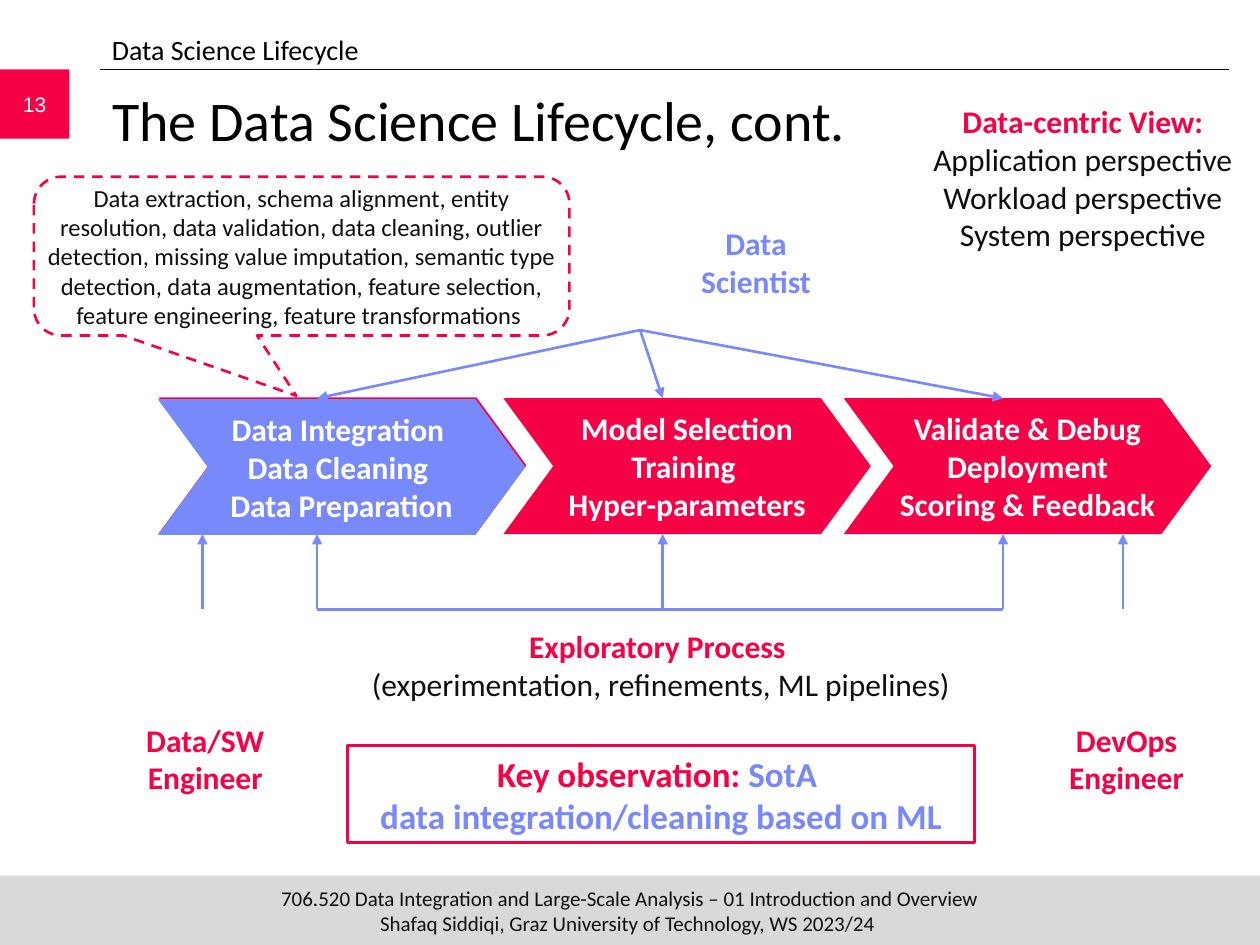
from dataclasses import dataclass

from lxml import etree
from pptx import Presentation
from pptx.dml.color import RGBColor
from pptx.enum.dml import MSO_LINE
from pptx.enum.shapes import MSO_CONNECTOR, MSO_SHAPE
from pptx.enum.text import MSO_ANCHOR, MSO_AUTO_SIZE, PP_ALIGN
from pptx.oxml.ns import qn
from pptx.util import Pt

RECT = MSO_SHAPE.RECTANGLE
CHEVRON = MSO_SHAPE.CHEVRON
CALLOUT = MSO_SHAPE.ROUNDED_RECTANGULAR_CALLOUT
STRAIGHT = MSO_CONNECTOR.STRAIGHT
DASH = MSO_LINE.DASH
TOP, MIDDLE = MSO_ANCHOR.TOP, MSO_ANCHOR.MIDDLE
LEFT, CENTER = PP_ALIGN.LEFT, PP_ALIGN.CENTER
FIXED = MSO_AUTO_SIZE.NONE


@dataclass(frozen=True)
class Theme:
    red: str = "F70146"
    blue: str = "7889FB"
    ink: str = "0F0F0F"
    black: str = "000000"
    white: str = "FFFFFF"
    gray: str = "D9D9D9"
    font: str = "Calibri"
    digits: str = "Arial"
    title: int = 32
    key: int = 20
    body: int = 18
    topic: int = 16
    note: int = 14
    small: int = 12
    rule: float = 0.5
    line: float = 1.5


theme = Theme()


def color(code):
    return RGBColor.from_string(code)


def write(frame, paras, size, font=theme.font, align=CENTER, anchor=TOP, pad=(7.2, 3.6)):
    frame.word_wrap = True
    frame.auto_size = FIXED
    frame.vertical_anchor = anchor
    frame.margin_left = frame.margin_right = Pt(pad[0])
    frame.margin_top = frame.margin_bottom = Pt(pad[1])
    for i, pieces in enumerate(paras):
        para = frame.add_paragraph() if i else frame.paragraphs[0]
        para.alignment = align
        for text, shade, bold in pieces:
            for j, part in enumerate(text.split("\v")):
                if j:
                    para.add_line_break()
                if part:
                    run = para.add_run()
                    run.text = part
                    run.font.name = font
                    run.font.size = Pt(size)
                    run.font.bold = bold
                    run.font.color.rgb = color(shade)


def label(slide, box, paras, size, **style):
    text = slide.shapes.add_textbox(*map(Pt, box))
    write(text.text_frame, paras, size, **style)


def shape(slide, kind, box, fill=None, edge=None):
    item = slide.shapes.add_shape(kind, *map(Pt, box))
    item.shadow.inherit = False
    if fill:
        item.fill.solid()
        item.fill.fore_color.rgb = color(fill)
    else:
        item.fill.background()
    if edge:
        item.line.color.rgb = color(edge)
        item.line.width = Pt(theme.line)
    else:
        item.line.fill.background()
    return item


def link(slide, start, end, shade=theme.blue, width=theme.line, arrow=True):
    line = slide.shapes.add_connector(STRAIGHT, *map(Pt, start + end))
    line.line.color.rgb = color(shade)
    line.line.width = Pt(width)
    if arrow:
        tail = etree.SubElement(line.line._get_or_add_ln(), qn("a:tailEnd"))
        tail.set("type", "triangle")
    etree.SubElement(line._element.spPr, qn("a:effectLst"))


def header(slide, box):
    left, top, width, height = box
    mark = 39.6
    link(slide, (left, mark), (702.5, mark), theme.ink, theme.rule, False)
    badge = shape(slide, RECT, (0, mark, mark, mark), theme.red)
    write(badge.text_frame, [[("13", theme.white, False)]], theme.small,
          font=theme.digits, anchor=MIDDLE)
    title = slide.shapes.title
    title.left, title.top = Pt(left), Pt(top + 30.2)
    title.width, title.height = Pt(width), Pt(height - 30.2)
    write(title.text_frame, [[("The Data Science Lifecycle, cont.", theme.black, False)]],
          theme.title, align=LEFT)
    label(slide, (left, top, width, 26), [[("Data Science Lifecycle", theme.black, False)]],
          theme.topic, align=LEFT)


def footer(slide, box):
    bar = shape(slide, RECT, box, theme.gray)
    lines = ["706.520 Data Integration and Large-Scale Analysis – 01 Introduction and Overview",
             "Shafaq Siddiqi, Graz University of Technology, WS 2023/24 "]
    write(bar.text_frame, [[(text, theme.ink, False)] for text in lines],
          theme.small, anchor=MIDDLE, pad=(0, 0))


def step(slide, box, fill, text=""):
    item = shape(slide, CHEVRON, box, fill)
    item.adjustments[0] = 0.367
    if text:
        write(item.text_frame, [[(text, theme.white, True)]], theme.body,
              anchor=MIDDLE, pad=(0, 3.6))


def flow(slide, box):
    left, top, width, height = box
    wide, drop = 210, 43
    base = top + height
    apex = (365.8, top - 39)
    lefts = [left, left + 197.5, left + width - wide]
    mids = [x + 91 for x in lefts]
    step(slide, (left + 0.6, top - 0.5, wide, height), theme.red)
    step(slide, (lefts[1], top, wide, height), theme.red,
         "Model Selection\vTraining \vHyper-parameters")
    step(slide, (lefts[2], top, wide, height), theme.red,
         "Validate & Debug\vDeployment\vScoring & Feedback")
    for x in mids:
        link(slide, apex, (x, top))
    for x in [left + 25.5, *mids, left + width - 50.5]:
        link(slide, (x, base + drop), (x, base))
    link(slide, (mids[2], base + drop), (mids[0], base + drop), arrow=False)
    step(slide, (left, top + 0.5, wide, height), theme.blue,
         "Data Integration \vData Cleaning \vData Preparation")


def role(slide, box, text, shade):
    label(slide, box, [[(text, shade, True)]], theme.body)


def views(slide, box):
    label(slide, box, [
        [("Data-centric View:", theme.red, True)],
        [("Application perspective", theme.ink, False)],
        [("Workload perspective\vSystem perspective", theme.ink, False)],
    ], theme.body, pad=(0, 3.6))


def process(slide, box):
    label(slide, box, [[
        ("Exploratory Process \v", theme.red, True),
        ("(experimentation, refinements, ML pipelines)", theme.ink, False),
    ]], theme.body, pad=(0, 3.6))


def key(slide, box):
    item = shape(slide, RECT, box, edge=theme.red)
    write(item.text_frame, [[
        ("Key observation: ", theme.red, True),
        ("SotA \vdata integration/cleaning based on ML", theme.blue, True),
    ]], theme.key)


def tasks(slide, box):
    item = shape(slide, CALLOUT, box, edge=theme.red)
    item.line.dash_style = DASH
    for i, value in enumerate((-0.01, 0.88, 0.17)):
        item.adjustments[i] = value
    text = ("Data extraction, schema alignment, entity resolution, data validation, "
            "data cleaning, outlier detection, missing value imputation, semantic type "
            "detection, data augmentation, feature selection, feature engineering, "
            "feature transformations ")
    write(item.text_frame, [[(text, theme.ink, False)]], theme.note,
          anchor=MIDDLE, pad=(0, 0))


def main():
    deck = Presentation()
    deck.slide_width, deck.slide_height = Pt(720), Pt(540)
    slide = deck.slides.add_slide(deck.slide_layouts[5])
    footer(slide, (0, 500.4, 720, 39.6))
    header(slide, (56.9, 15.2, 645, 90))
    role(slide, (62.6, 408.2, 109.4, 51), "Data/SW Engineer", theme.red)
    role(slide, (589, 408.2, 109.4, 51), "DevOps Engineer", theme.red)
    role(slide, (391, 124.6, 82, 51), "Data Scientist", theme.blue)
    views(slide, (532.4, 54.7, 172.8, 94.3))
    process(slide, (189.4, 355, 376.6, 51))
    key(slide, (198.5, 426.2, 358.5, 55.4))
    tasks(slide, (19.4, 101, 306, 90.7))
    flow(slide, (90.2, 227.6, 602, 77.6))
    deck.save("out.pptx")


if __name__ == "__main__":
    main()
